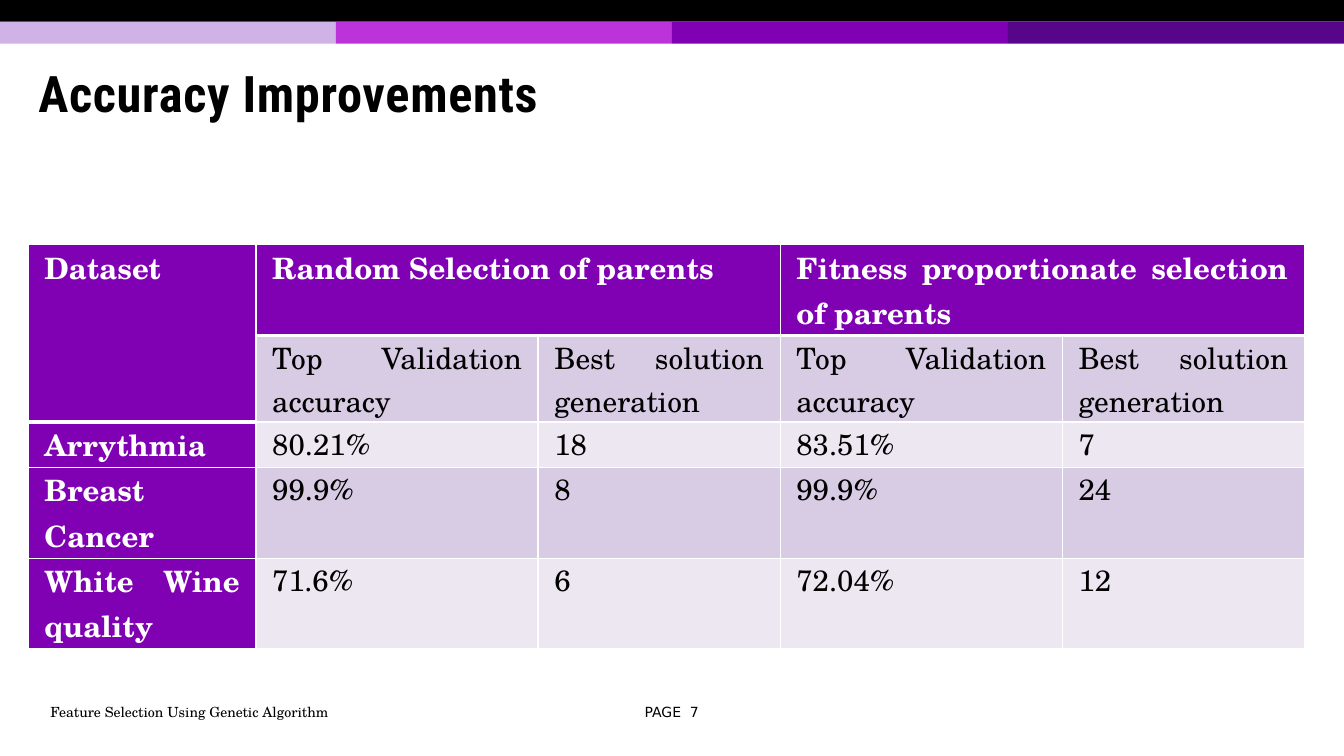
from dataclasses import dataclass

from lxml import etree
from pptx import Presentation
from pptx.dml.color import RGBColor
from pptx.enum.shapes import MSO_SHAPE as Shape
from pptx.enum.text import MSO_ANCHOR as Anchor, MSO_AUTO_SIZE as AutoSize, PP_ALIGN as Align
from pptx.oxml.ns import qn
from pptx.util import Cm, Pt


@dataclass(frozen=True)
class Theme:
    black: str = "000000"
    white: str = "FFFFFF"
    purple: str = "8000B3"
    bands: tuple = ("D8CCE5", "EDE7F2")
    strip: tuple = ("CFB3E6", "BD33DA", "8000B3", "57058A")
    heading: str = "Roboto Condensed"
    serif: str = "TeX Gyre Schola"
    sans: str = "DejaVu Sans"
    title_size: int = 36
    table_size: int = 21
    footer_size: int = 10


theme = Theme()


def add_span(para, text, font, size, color, bold=False):
    span = para.add_run()
    span.text = text
    span.font.name = font
    span.font.size = Pt(size)
    span.font.bold = bold
    span.font.color.rgb = RGBColor.from_string(color)
    return span


def add_bar(left, top, width, color):
    bar = page.shapes.add_shape(Shape.RECTANGLE, left, top, width, Cm(0.55))
    bar.shadow.inherit = False
    bar.fill.solid()
    bar.fill.fore_color.rgb = RGBColor.from_string(color)
    bar.line.fill.background()


deck = Presentation()
deck.slide_width = Cm(33.87)
deck.slide_height = Cm(19.05)
page = deck.slides.add_slide(deck.slide_layouts[5])

strip_width = deck.slide_width // len(theme.strip)
for index, color in enumerate(theme.strip):
    add_bar(index * strip_width, Cm(0.55), strip_width, color)
add_bar(0, 0, deck.slide_width, theme.black)

title = page.shapes.title
title.left, title.top, title.width, title.height = Cm(0.71), Cm(1.19), Cm(32.13), Cm(2.49)
title.text_frame.auto_size = AutoSize.NONE
title.text_frame.vertical_anchor = Anchor.MIDDLE
para = title.text_frame.paragraphs[0]
para.alignment = Align.LEFT
para.line_spacing = 0.85
span = add_span(para, "Accuracy Improvements", theme.heading, theme.title_size, theme.black, True)
span.font._element.set("spc", "50")

measures = ["Top Validation accuracy", "Best solution generation"]
rows = [
    ["Dataset", "Random Selection of parents", "", "Fitness proportionate selection of parents", ""],
    ["", *measures, *measures],
    ["Arrythmia", "80.21%", "18", "83.51%", "7"],
    ["Breast Cancer", "99.9%", "8", "99.9%", "24"],
    ["White Wine quality", "71.6%", "6", "72.04%", "12"],
]
column_widths = [5.74, 7.11, 6.1, 7.11, 6.1]
row_heights = [2.01, 2.01, 1.12, 1.12, 2.01]

table = page.shapes.add_table(
    len(rows), len(column_widths), Cm(0.71), Cm(6.17), Cm(sum(column_widths)), Cm(sum(row_heights))
).table
for column, width in zip(table.columns, column_widths):
    column.width = Cm(width)
for row, height in zip(table.rows, row_heights):
    row.height = Cm(height)
table.cell(0, 0).merge(table.cell(1, 0))
for column in (1, 3):
    table.cell(0, column).merge(table.cell(0, column + 1))

for row, texts in enumerate(rows):
    for column, text in enumerate(texts):
        cell = table.cell(row, column)
        header = row == 0 or column == 0
        cell.margin_left = cell.margin_right = Cm(0.41)
        cell.margin_top = cell.margin_bottom = 0
        cell.fill.solid()
        cell.fill.fore_color.rgb = RGBColor.from_string(
            theme.purple if header else theme.bands[(row + 1) % 2]
        )
        if text:
            para = cell.text_frame.paragraphs[0]
            para.alignment = Align.JUSTIFY
            color = theme.white if header else theme.black
            add_span(para, text, theme.serif, theme.table_size, color, header)
        header_end = 1 if column == 0 else 0
        borders = {
            "a:lnL": 1,
            "a:lnR": 1,
            "a:lnT": 3 if row == header_end + 1 else 1,
            "a:lnB": 3 if row == header_end else 1,
        }
        properties = cell._tc.get_or_add_tcPr()
        for index, (side, width) in enumerate(borders.items()):
            border = etree.Element(qn(side), w=str(Pt(width)))
            fill = etree.SubElement(border, qn("a:solidFill"))
            etree.SubElement(fill, qn("a:srgbClr"), val=theme.white)
            properties.insert(index, border)

footers = [
    ("PAGE  7", 15.52, 2.82, theme.sans, Align.CENTER, Anchor.MIDDLE, 6),
    ("Feature Selection Using Genetic Algorithm", 1.02, 14.53, theme.serif, Align.LEFT, Anchor.TOP, 0),
]
for text, left, width, font, alignment, anchor, space_after in footers:
    box = page.shapes.add_textbox(Cm(left), Cm(17.6), Cm(width), Cm(0.69))
    box.text_frame.word_wrap = True
    box.text_frame.vertical_anchor = anchor
    para = box.text_frame.paragraphs[0]
    para.alignment = alignment
    para.space_after = Pt(space_after)
    add_span(para, text, font, theme.footer_size, theme.black)

deck.save("out.pptx")
